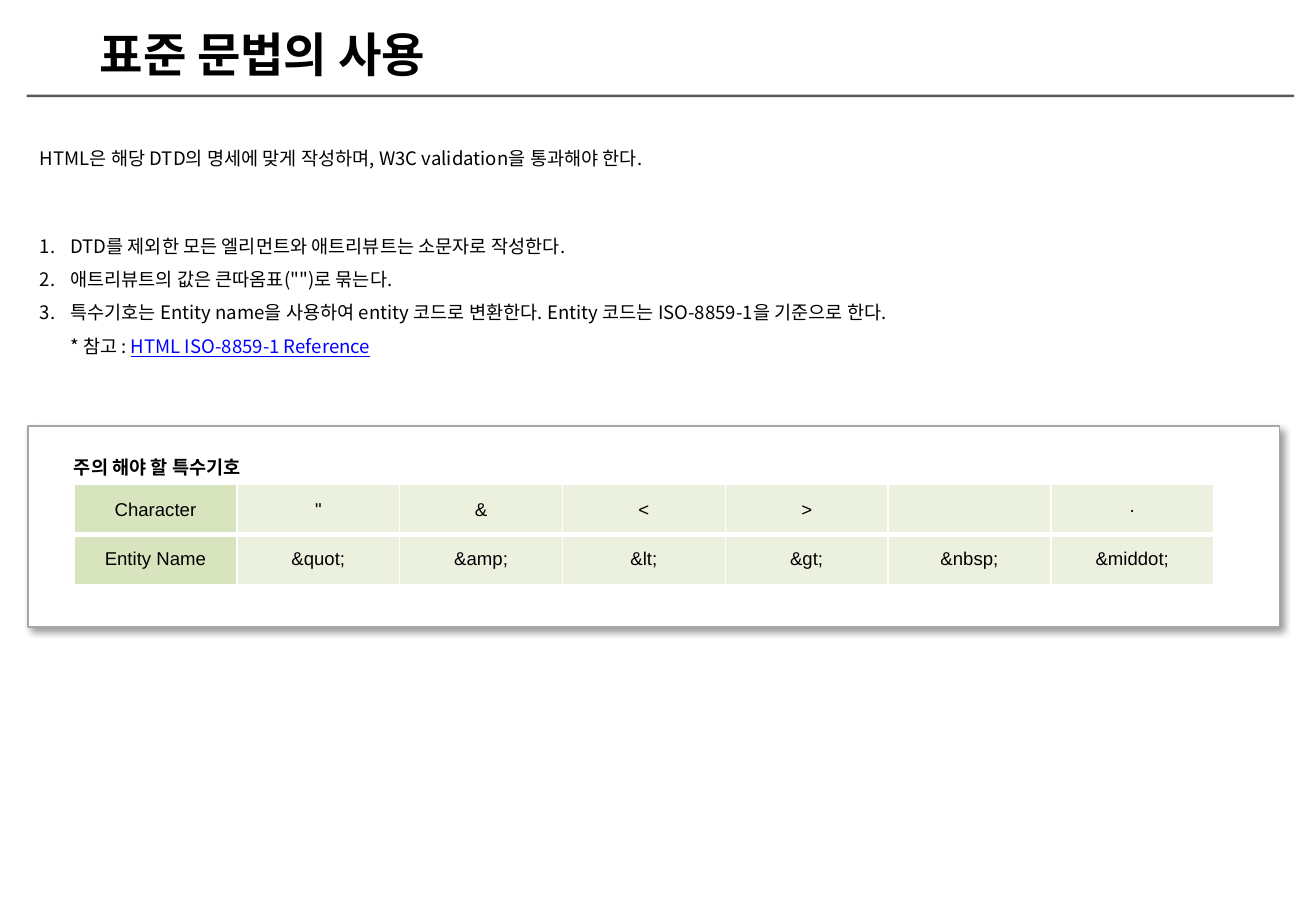
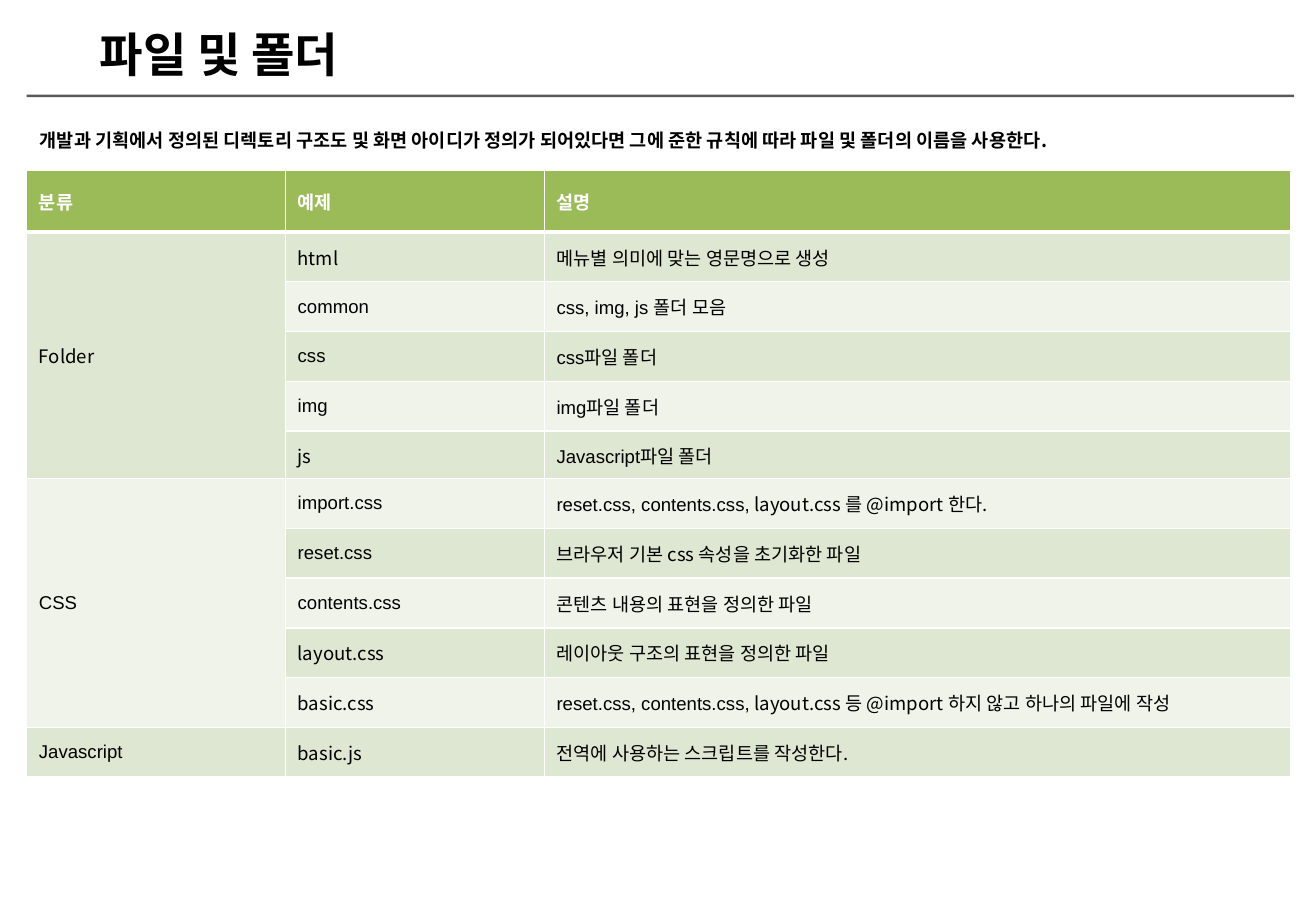
from dataclasses import dataclass
from typing import NamedTuple

from lxml.etree import SubElement
from pptx import Presentation
from pptx.dml.color import RGBColor
from pptx.enum.shapes import MSO_SHAPE as Shape
from pptx.enum.text import MSO_ANCHOR as Anchor, MSO_AUTO_SIZE as AutoSize, PP_ALIGN as Align
from pptx.oxml.ns import qn
from pptx.util import Inches, Pt

# Shared style
KOREAN, LATIN = "Noto Sans CJK KR", "Arial"
BLACK, WHITE, LINK = "000000", "FFFFFF", "0000FF"
RULE, PANEL_EDGE = "595959", "A6A6A6"
LABEL_FILL, VALUE_FILL = "D7E4BD", "EBF1DE"
HEADER_FILL, BAND_FILLS = "9BBB59", ("DEE7D1", "EFF3EA")
BODY_SIZE, TITLE_SIZE = 11, 28
HANGING = 0.25


class Box(NamedTuple):
    left: float
    top: float
    width: float
    height: float


class Run(NamedTuple):
    text: str
    font: str = KOREAN
    color: str = BLACK
    underline: bool = False
    new_line: bool = False


Runs = tuple[Run, ...]


@dataclass
class TextBlock:
    box: Box
    paragraphs: list[Runs]
    bold: bool = False
    hanging: bool = False
    numbered: bool = False


@dataclass
class CellStyle:
    fill: str
    bold: bool = False
    align: Align = Align.LEFT
    bottom_line: float = 1


def ko(text: str, color: str = BLACK) -> Runs:
    return (Run(text, color=color),)


def en(text: str) -> Runs:
    return (Run(text, LATIN),)


def rgb(color: str) -> RGBColor:
    return RGBColor.from_string(color)


def inches(box: Box) -> list[int]:
    return [Inches(length) for length in box]


# Text
def write(paragraph, runs: Runs, size: float = BODY_SIZE, bold: bool = False) -> None:
    base = runs[0]
    font = paragraph.font
    font.size, font.bold, font.name = Pt(size), bold, base.font
    font.color.rgb = rgb(base.color)
    defaults = paragraph._p.get_or_add_pPr().get_or_add_defRPr()
    SubElement(defaults, qn("a:ea"), typeface=KOREAN)
    for part in runs:
        if part.new_line:
            paragraph.add_line_break()
        run = paragraph.add_run()
        run.text = part.text
        if part.font != base.font:
            run.font.name = part.font
        if part.color != base.color:
            run.font.color.rgb = rgb(part.color)
        if part.underline:
            run.font.underline = True


def hang(paragraph, numbered: bool) -> None:
    properties = paragraph._p.get_or_add_pPr()
    properties.set("marL", str(Inches(HANGING)))
    properties.set("indent", str(-Inches(HANGING)))
    if numbered:
        number = SubElement(properties, qn("a:buAutoNum"), type="arabicPeriod")
        properties.find(qn("a:defRPr")).addprevious(number)


def add_text(slide, block: TextBlock) -> None:
    frame = slide.shapes.add_textbox(*inches(block.box)).text_frame
    frame.word_wrap = False
    frame.auto_size = AutoSize.SHAPE_TO_FIT_TEXT
    for index, runs in enumerate(block.paragraphs):
        paragraph = frame.add_paragraph() if index else frame.paragraphs[0]
        paragraph.line_spacing = 1.5
        write(paragraph, runs, bold=block.bold)
        if block.hanging:
            hang(paragraph, block.numbered)


# Shapes and slide frame
def add_rectangle(slide, box: Box, fill: str, edge: str = ""):
    rectangle = slide.shapes.add_shape(Shape.RECTANGLE, *inches(box))
    rectangle.shadow.inherit = False
    rectangle.fill.solid()
    rectangle.fill.fore_color.rgb = rgb(fill)
    if edge:
        rectangle.line.color.rgb = rgb(edge)
        rectangle.line.width = Pt(1)
    else:
        rectangle.line.fill.background()
    return rectangle


def add_panel(slide, box: Box) -> None:
    panel = add_rectangle(slide, box, WHITE, PANEL_EDGE)
    effects = panel._element.spPr.find(qn("a:effectLst"))
    shadow = SubElement(effects, qn("a:outerShdw"), blurRad=str(Pt(4)), dist=str(Pt(3)),
                        dir=str(45 * 60000), algn="tl", rotWithShape="0")
    color = SubElement(shadow, qn("a:srgbClr"), val=BLACK)
    SubElement(color, qn("a:alpha"), val="40000")


def add_slide(deck, title: str, title_width: float):
    slide = deck.slides.add_slide(deck.slide_layouts[5])
    heading = slide.shapes.title
    heading.left, heading.top, heading.width, heading.height = inches(
        Box(0.72, 0.16, title_width, 0.57))
    frame = heading.text_frame
    frame.word_wrap = False
    frame.auto_size = AutoSize.SHAPE_TO_FIT_TEXT
    frame.vertical_anchor = Anchor.TOP
    frame.paragraphs[0].alignment = Align.LEFT
    write(frame.paragraphs[0], ko(title), TITLE_SIZE, bold=True)
    add_rectangle(slide, Box(0.22, 0.78, 10.43, 0.02), RULE)
    return slide


# Tables
def add_grid(slide, left: float, top: float, columns: list[float], rows: list[float]):
    box = Box(left, top, sum(columns), sum(rows))
    table = slide.shapes.add_table(len(rows), len(columns), *inches(box)).table
    table.first_row = table.horz_banding = False
    for column, width in zip(table.columns, columns):
        column.width = Inches(width)
    for row, height in zip(table.rows, rows):
        row.height = Inches(height)
    return table


def fill_cell(cell, runs: Runs, style: CellStyle) -> None:
    properties = cell._tc.get_or_add_tcPr()
    for side in "LRTB":
        width = style.bottom_line if side == "B" else 1
        line = SubElement(properties, qn(f"a:ln{side}"), w=str(Pt(width)))
        SubElement(SubElement(line, qn("a:solidFill")), qn("a:srgbClr"), val=WHITE)
    cell.fill.solid()
    cell.fill.fore_color.rgb = rgb(style.fill)
    cell.vertical_anchor = Anchor.MIDDLE
    if runs:
        paragraph = cell.text_frame.paragraphs[0]
        paragraph.alignment = style.align
        write(paragraph, runs, bold=style.bold)


deck = Presentation()
deck.slide_width, deck.slide_height = Inches(10.83), Inches(7.5)

# Slide 1: standard syntax
syntax = add_slide(deck, "표준 문법의 사용", 3.22)
add_panel(syntax, Box(0.23, 3.51, 10.3, 1.65))
SYNTAX_TEXTS = [
    TextBlock(Box(0.23, 1.07, 5.57, 0.34),
              [ko("HTML은 해당 DTD의 명세에 맞게 작성하며, W3C validation을 통과해야 한다.")]),
    TextBlock(Box(0.23, 1.79, 7.63, 1.21), [
        ko("DTD를 제외한 모든 엘리먼트와 애트리뷰트는 소문자로 작성한다."),
        ko('애트리뷰트의 값은 큰따옴표("")로 묶는다.'),
        (Run("특수기호는 Entity name을 사용하여 entity 코드로 변환한다. "
             "Entity 코드는 ISO-8859-1을 기준으로 한다."),
         Run("* 참고 : ", new_line=True),
         Run("HTML ISO-8859-1 Reference", color=LINK, underline=True)),
    ], hanging=True, numbered=True),
    TextBlock(Box(0.51, 3.61, 1.75, 0.38), [ko("주의 해야 할 특수기호")], bold=True),
]
for block in SYNTAX_TEXTS:
    add_text(syntax, block)

ENTITY_ROWS = [
    ["Character", '"', "&", "<", ">", "", "·"],
    ["Entity Name", "&quot;", "&amp;", "&lt;", "&gt;", "&nbsp;", "&middot;"],
]
entities = add_grid(syntax, 0.61, 3.99, [1.34] * 7, [0.41] * 2)
for row, texts in enumerate(ENTITY_ROWS):
    for column, text in enumerate(texts):
        style = CellStyle(VALUE_FILL if column else LABEL_FILL, align=Align.CENTER,
                          bottom_line=1 if row else 3)
        fill_cell(entities.cell(row, column), en(text) if text else (), style)

# Slide 2: files and folders
files = add_slide(deck, "파일 및 폴더", 2.44)
add_text(files, TextBlock(
    Box(0.23, 0.92, 9.54, 0.34),
    [ko("개발과 기획에서 정의된 디렉토리 구조도 및 화면 아이디가 정의가 되어있다면 "
        "그에 준한 규칙에 따라 파일 및 폴더의 이름을 사용한다.")],
    bold=True, hanging=True))

SHEETS = Run("reset.css, contents.css,", LATIN)
FILE_GROUPS: list[tuple[Runs, list[tuple[Runs, Runs]]]] = [
    (ko("Folder"), [
        (ko("html"), ko("메뉴별 의미에 맞는 영문명으로 생성")),
        (en("common"), en("css, img, js 폴더 모음")),
        (en("css"), en("css파일 폴더")),
        (en("img"), en("img파일 폴더")),
        (ko("js"), en("Javascript파일 폴더")),
    ]),
    (en("CSS"), [
        (en("import.css"), (SHEETS, Run(" layout.css 를 @import 한다."))),
        (en("reset.css"), ko("브라우저 기본 css 속성을 초기화한 파일")),
        (en("contents.css"), ko("콘텐츠 내용의 표현을 정의한 파일")),
        (ko("layout.css"), ko("레이아웃 구조의 표현을 정의한 파일")),
        (ko("basic.css"),
         (SHEETS, Run(" layout.css 등 @import 하지 않고 하나의 파일에 작성"))),
    ]),
    (en("Javascript"), [(ko("basic.js"), ko("전역에 사용하는 스크립트를 작성한다."))]),
]
naming = add_grid(files, 0.22, 1.4, [2.13, 2.13, 6.14],
                  [0.51] + [0.41] * 4 + [0.39] + [0.41] * 6)
header = CellStyle(HEADER_FILL, bold=True, bottom_line=3)
for column, text in enumerate(["분류", "예제", "설명"]):
    fill_cell(naming.cell(0, column), ko(text, WHITE), header)

row = 1
for category, entries in FILE_GROUPS:
    first = row
    for example, description in entries:
        band = CellStyle(BAND_FILLS[(row - 1) % 2])
        cells = (category if row == first else (), example, description)
        for column, runs in enumerate(cells):
            fill_cell(naming.cell(row, column), runs, band)
        row += 1
    if len(entries) > 1:
        naming.cell(first, 0).merge(naming.cell(row - 1, 0))

deck.save("out.pptx")
